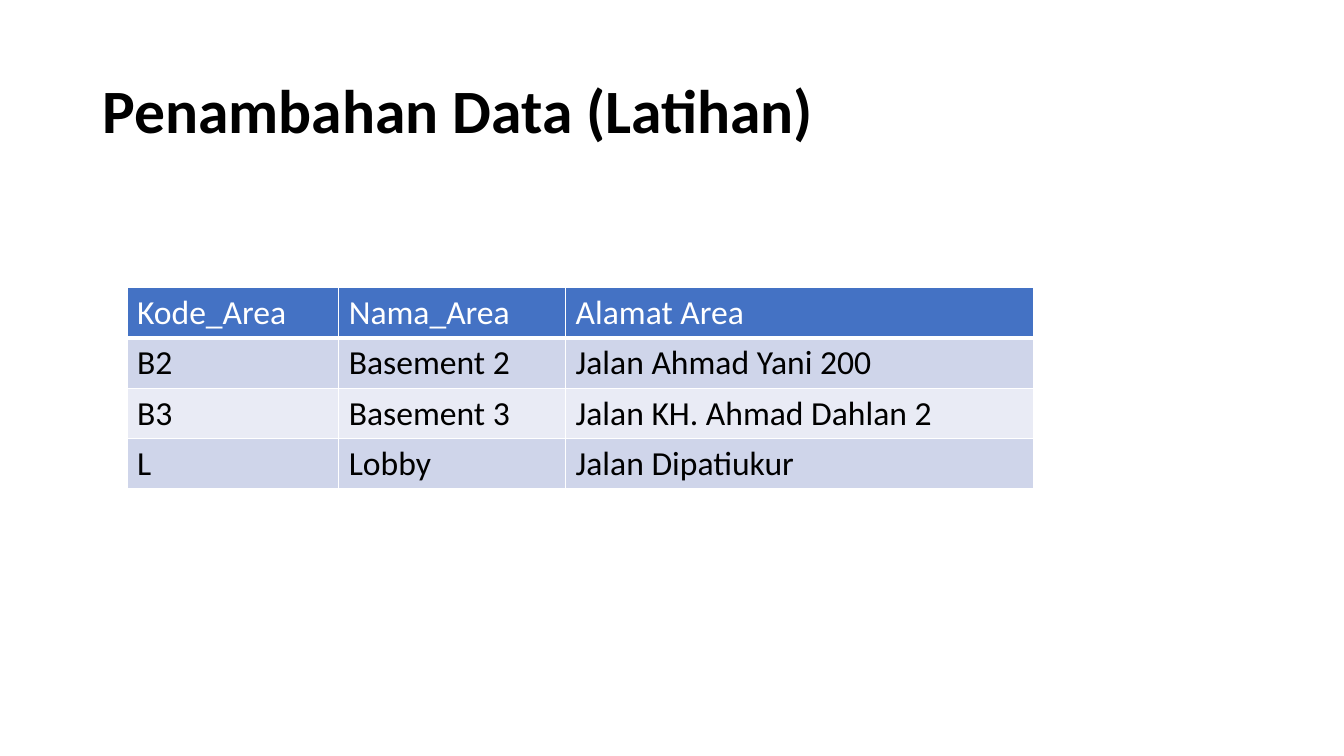
from dataclasses import dataclass

from lxml.etree import SubElement
from pptx import Presentation
from pptx.dml.color import RGBColor
from pptx.enum.text import MSO_ANCHOR
from pptx.oxml.ns import qn
from pptx.util import Emu, Pt

EMU_PER_PX = 9144  # 100 px to the inch
FONT = "Calibri"
COLORS = {
    "black": "000000",
    "white": "FFFFFF",
    "header": "4472C4",
    "band_dark": "CFD5EA",
    "band_light": "E9EBF5",
}


@dataclass(frozen=True)
class AreaRow:
    cells: tuple[str, str, str]
    fill: str
    color: str = "black"
    bottom_border: int = 1


COLUMN_WIDTHS = (210, 225, 464)
ROW_HEIGHT = 50
AREA_ROWS = (
    AreaRow(("Kode_Area", "Nama_Area", "Alamat Area"), "header", "white", 3),
    AreaRow(("B2", "Basement 2", "Jalan Ahmad Yani 200"), "band_dark"),
    AreaRow(("B3", "Basement 3", "Jalan KH. Ahmad Dahlan 2"), "band_light"),
    AreaRow(("L", "Lobby", "Jalan Dipatiukur"), "band_dark"),
)


def px(length: int) -> Emu:
    return Emu(length * EMU_PER_PX)


def rgb(name: str) -> RGBColor:
    return RGBColor.from_string(COLORS[name])


def format_text(para, size: int, color: str, bold: bool = False) -> None:
    for span in para.runs:
        span.font.name = FONT
        span.font.size = Pt(size)
        span.font.bold = bold
        span.font.color.rgb = rgb(color)


def add_border(cell, side: str, points: int) -> None:
    properties = cell._tc.get_or_add_tcPr()
    line = SubElement(properties, qn(f"a:ln{side}"), w=str(Pt(points)))
    fill = SubElement(line, qn("a:solidFill"))
    SubElement(fill, qn("a:srgbClr"), val=COLORS["white"])


def add_title(page, text: str) -> None:
    box = page.shapes.add_textbox(px(92), px(40), px(1150), px(145))
    frame = box.text_frame
    frame.word_wrap = True
    frame.vertical_anchor = MSO_ANCHOR.MIDDLE
    frame.text = text
    para = frame.paragraphs[0]
    para.line_spacing = 0.9
    format_text(para, 44, "black", bold=True)


def fill_cell(cell, text: str, row: AreaRow) -> None:
    for side in "LRT":
        add_border(cell, side, 1)
    add_border(cell, "B", row.bottom_border)
    cell.fill.solid()
    cell.fill.fore_color.rgb = rgb(row.fill)
    cell.text_frame.text = text
    format_text(cell.text_frame.paragraphs[0], 24, row.color)


def add_area_table(page) -> None:
    table = page.shapes.add_table(
        len(AREA_ROWS), len(COLUMN_WIDTHS), px(126), px(285),
        px(sum(COLUMN_WIDTHS)), px(ROW_HEIGHT * len(AREA_ROWS)),
    ).table
    for column, width in zip(table.columns, COLUMN_WIDTHS):
        column.width = px(width)
    for row_index, row in enumerate(AREA_ROWS):
        for column_index, text in enumerate(row.cells):
            fill_cell(table.cell(row_index, column_index), text, row)


def main() -> None:
    # Page
    deck = Presentation()
    deck.slide_width, deck.slide_height = px(1333), px(750)
    page = deck.slides.add_slide(deck.slide_layouts[6])
    page.background.fill.solid()
    page.background.fill.fore_color.rgb = rgb("white")

    # Content
    add_title(page, "Penambahan Data (Latihan)")
    add_area_table(page)
    deck.save("out.pptx")


if __name__ == "__main__":
    main()
